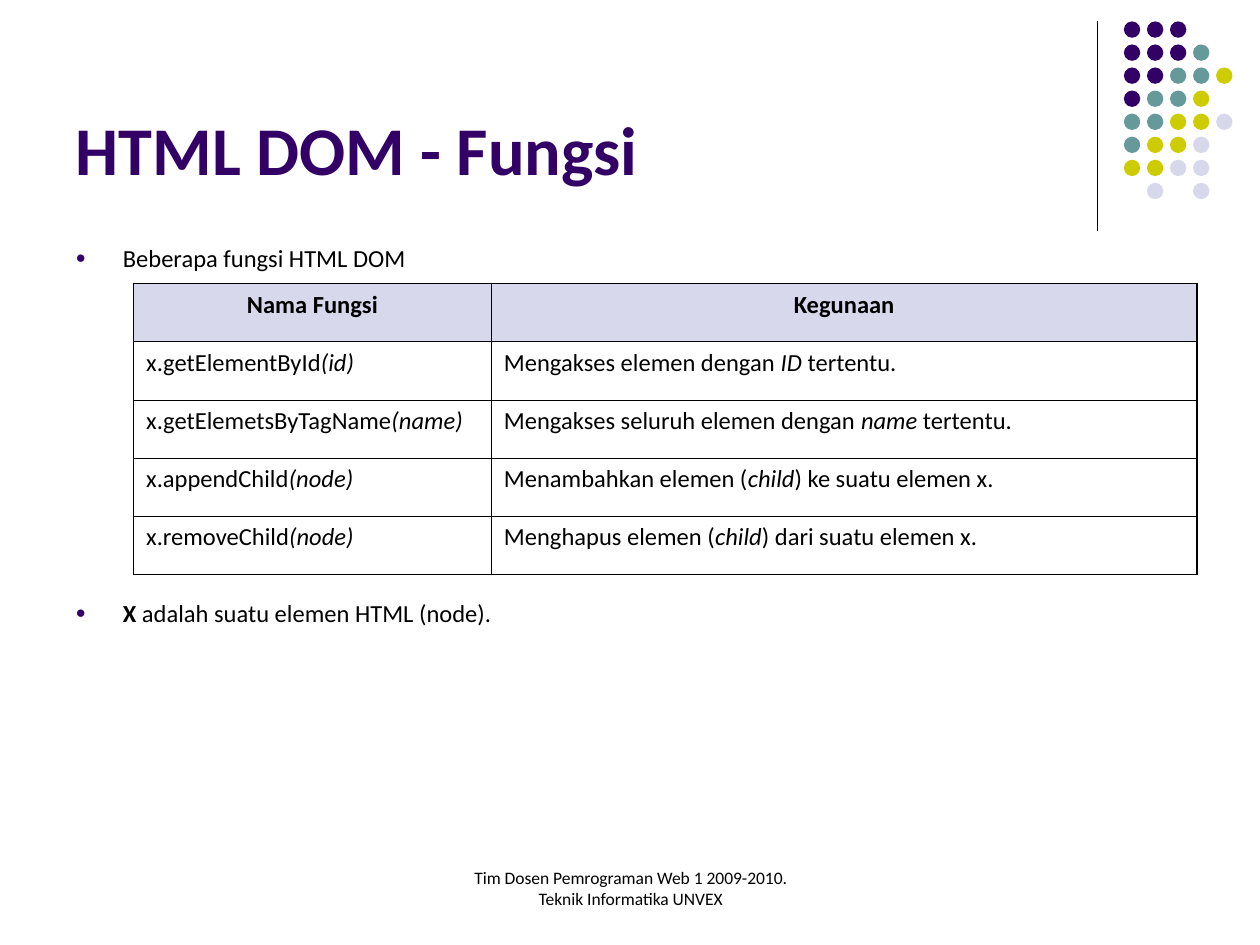
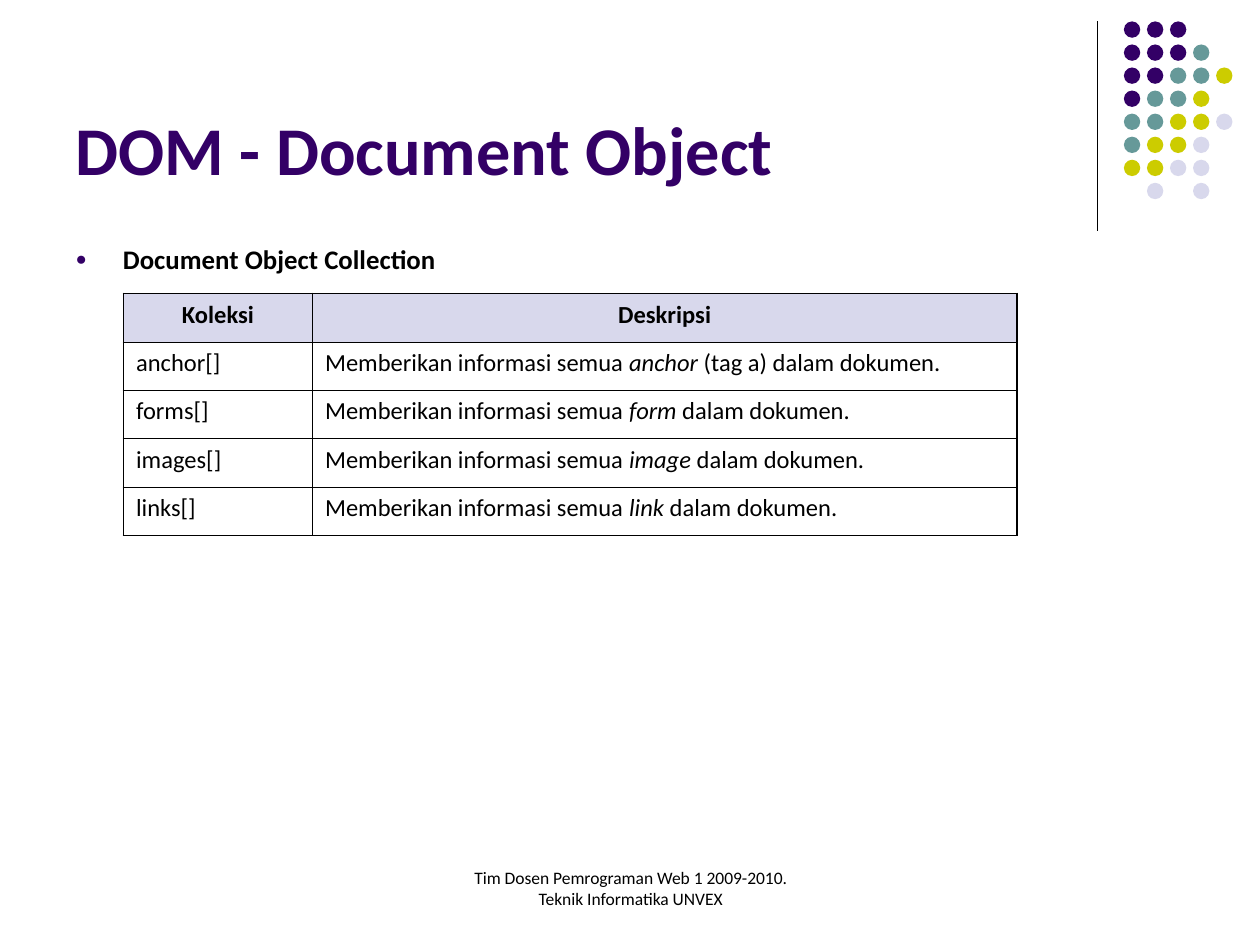
from dataclasses import dataclass
from typing import NamedTuple

from lxml import etree
from pptx import Presentation
from pptx import util as u
from pptx.dml.color import RGBColor
from pptx.enum import shapes, text
from pptx.oxml import ns

SLIDE_WIDTH, SLIDE_HEIGHT = u.Inches(10), u.Inches(7.5)
GRID_COLUMNS = 100  # square cells, so rows share the same unit

FONT = "Calibri"
INK, PURPLE, TEAL, LIME, LAVENDER = "000000", "330066", "669999", "CCCC00", "D8D8EC"

DOT_COLOURS = {"P": PURPLE, "T": TEAL, "Y": LIME, "L": LAVENDER}
DOT_ROWS = ("PPP", "PPPT", "PPTTY", "PTTY", "TTYYL", "TYYL", "YYLL", ".L.L")
DOT_LEFT, DOT_TOP, DOT_PITCH, DOT_SIZE = 89.2, 1.7, 1.83, 1.3

FOOTER = "Tim Dosen Pemrograman Web 1 2009-2010.\vTeknik Informatika UNVEX"
TABLE_SIZE = 14
OUTER_BORDER, INNER_BORDER = 1.08, 0.45


class Box(NamedTuple):
    """Left, top, width and height in grid cells."""
    left: float
    top: float
    width: float
    height: float


TITLE_BOX = Box(5, 1.3, 82.5, 14.2)
FOOTER_BOX = Box(34.2, 68.3, 31.7, 5)


@dataclass
class Bullet:
    """A list item; words between asterisks are bold."""
    words: str
    size: float
    space_before: float


@dataclass
class Grid:
    """A table with a header row; words between asterisks are italic."""
    left: float
    top: float
    columns: tuple[float, ...]
    row_height: float
    rows: list[tuple[str, ...]]


@dataclass
class Topic:
    title: str
    bullet_box: Box
    bullets: list[Bullet]
    grid: Grid


TOPICS = [
    Topic(
        "HTML DOM - Fungsi",
        Box(5, 18.8, 44.2, 48.2),
        [Bullet("Beberapa fungsi HTML DOM", 14, 3.5),
         Bullet("*X* adalah suatu elemen HTML (node).", 14, 186)],
        Grid(10.6, 22.5, (28.4, 56), 4.62, [
            ("Nama Fungsi", "Kegunaan"),
            ("x.getElementById*(id)*", "Mengakses elemen dengan *ID* tertentu."),
            ("x.getElemetsByTagName*(name)*",
             "Mengakses seluruh elemen dengan *name* tertentu."),
            ("x.appendChild*(node)*",
             "Menambahkan elemen (*child*) ke suatu elemen x."),
            ("x.removeChild*(node)*",
             "Menghapus elemen (*child*) dari suatu elemen x."),
        ]),
    ),
    Topic(
        "DOM - Document Object",
        Box(5, 18.8, 44.2, 3.7),
        [Bullet("*Document Object Collection*", 15.3, 4.5)],
        Grid(9.8, 23.3, (15, 55.9), 3.84, [
            ("Koleksi", "Deskripsi"),
            ("anchor[]",
             "Memberikan informasi semua *anchor* (tag a) dalam dokumen."),
            ("forms[]", "Memberikan informasi semua *form* dalam dokumen."),
            ("images[]", "Memberikan informasi semua *image* dalam dokumen."),
            ("links[]", "Memberikan informasi semua *link* dalam dokumen."),
        ]),
    ),
]


def cells(count: float) -> u.Emu:
    """Length of a number of grid cells."""
    return u.Emu(round(SLIDE_WIDTH * count / GRID_COLUMNS))


def place(box: Box) -> tuple[u.Emu, ...]:
    return tuple(cells(side) for side in box)


def move(shape, box: Box) -> None:
    shape.left, shape.top, shape.width, shape.height = place(box)


def paint(colour_format, colour: str) -> None:
    colour_format.rgb = RGBColor.from_string(colour)


def style(run, size: float, colour: str = INK, bold: bool = False,
          italic: bool = False) -> None:
    font = run.font
    font.name, font.size = FONT, u.Pt(size)
    font.bold, font.italic = bold, italic
    paint(font.color, colour)


def write_marked(paragraph, words: str, size: float, emphasis: str) -> None:
    """Fill a paragraph, giving the words between asterisks the emphasis."""
    for index, piece in enumerate(words.split("*")):
        if piece:
            run = paragraph.add_run()
            run.text = piece
            style(run, size, **{emphasis: index % 2 == 1})


def add_xml(parent, tag: str, **attributes: str):
    return etree.SubElement(parent, ns.qn(tag), attributes)


def add_solid_fill(parent, colour: str) -> None:
    add_xml(add_xml(parent, "a:solidFill"), "a:srgbClr", val=colour)


def add_corner_decoration(slide) -> None:
    rule = slide.shapes.add_connector(
        shapes.MSO_CONNECTOR.STRAIGHT,
        cells(87.1), cells(1.7), cells(87.1), cells(18.3))
    rule.line.width = u.Pt(0.75)
    paint(rule.line.color, INK)
    add_xml(rule.element.spPr, "a:effectLst")

    dots = slide.shapes.add_group_shape().shapes
    for row, pattern in enumerate(DOT_ROWS):
        for column, key in enumerate(pattern):
            if key not in DOT_COLOURS:
                continue
            spot = Box(DOT_LEFT + column * DOT_PITCH, DOT_TOP + row * DOT_PITCH,
                       DOT_SIZE, DOT_SIZE)
            dot = dots.add_shape(shapes.MSO_SHAPE.OVAL, *place(spot))
            dot.shadow.inherit = False
            dot.fill.solid()
            paint(dot.fill.fore_color, DOT_COLOURS[key])
            dot.line.fill.background()


def add_footer(slide) -> None:
    frame = slide.shapes.add_textbox(*place(FOOTER_BOX)).text_frame
    frame.word_wrap = True
    frame.text = FOOTER
    paragraph = frame.paragraphs[0]
    paragraph.alignment = text.PP_ALIGN.CENTER
    for run in paragraph.runs:
        style(run, 10)


def fill_title(slide, title: str) -> None:
    heading = slide.shapes.title
    move(heading, TITLE_BOX)
    frame = heading.text_frame
    frame.text = title
    frame.auto_size = text.MSO_AUTO_SIZE.NONE
    frame.vertical_anchor = text.MSO_ANCHOR.BOTTOM
    frame.paragraphs[0].alignment = text.PP_ALIGN.LEFT
    style(frame.paragraphs[0].runs[0], 39, PURPLE, bold=True)


def add_bullet_mark(paragraph) -> None:
    indent = cells(3.75)
    properties = paragraph._p.get_or_add_pPr()
    properties.set("marL", str(indent))
    properties.set("indent", str(-indent))
    add_xml(add_xml(properties, "a:buClr"), "a:srgbClr", val=PURPLE)
    add_xml(properties, "a:buSzPct", val="70000")
    add_xml(properties, "a:buChar", char="●")


def fill_bullets(slide, topic: Topic) -> None:
    body = slide.placeholders[1]
    move(body, topic.bullet_box)
    frame = body.text_frame
    frame.auto_size = text.MSO_AUTO_SIZE.NONE
    for index, bullet in enumerate(topic.bullets):
        paragraph = frame.add_paragraph() if index else frame.paragraphs[0]
        paragraph.space_before = u.Pt(bullet.space_before)
        add_bullet_mark(paragraph)
        write_marked(paragraph, bullet.words, bullet.size, "bold")


def add_borders(cell, outer_sides: dict[str, bool]) -> None:
    """Draw the four cell borders, heavier on the rim of the table."""
    properties = cell._tc.get_or_add_tcPr()
    for side, is_outer in outer_sides.items():
        width = u.Pt(OUTER_BORDER if is_outer else INNER_BORDER)
        add_solid_fill(add_xml(properties, f"a:ln{side}", w=str(width)), INK)


def add_grid(slide, grid: Grid) -> None:
    row_count, column_count = len(grid.rows), len(grid.columns)
    area = Box(grid.left, grid.top, sum(grid.columns), row_count * grid.row_height)
    table = slide.shapes.add_table(row_count, column_count, *place(area)).table
    table.first_row = table.horz_banding = False
    for column, width in zip(table.columns, grid.columns):
        column.width = cells(width)

    for row, entries in enumerate(grid.rows):
        table.rows[row].height = cells(grid.row_height)
        for column, words in enumerate(entries):
            cell = table.cell(row, column)
            add_borders(cell, {"L": column == 0, "R": column == column_count - 1,
                               "T": row == 0, "B": row == row_count - 1})
            paragraph = cell.text_frame.paragraphs[0]
            paragraph.space_before = u.Pt(3.5)
            if row == 0:
                cell.fill.solid()
                paint(cell.fill.fore_color, LAVENDER)
                paragraph.text = words
                paragraph.alignment = text.PP_ALIGN.CENTER
                style(paragraph.runs[0], TABLE_SIZE, bold=True)
            else:
                cell.fill.background()
                write_marked(paragraph, words, TABLE_SIZE, "italic")


def main() -> None:
    presentation = Presentation()
    presentation.slide_width, presentation.slide_height = SLIDE_WIDTH, SLIDE_HEIGHT
    title_and_content = presentation.slide_layouts[1]
    for topic in TOPICS:
        slide = presentation.slides.add_slide(title_and_content)
        add_corner_decoration(slide)
        add_footer(slide)
        fill_title(slide, topic.title)
        fill_bullets(slide, topic)
        add_grid(slide, topic.grid)
    presentation.save("out.pptx")


if __name__ == "__main__":
    main()
